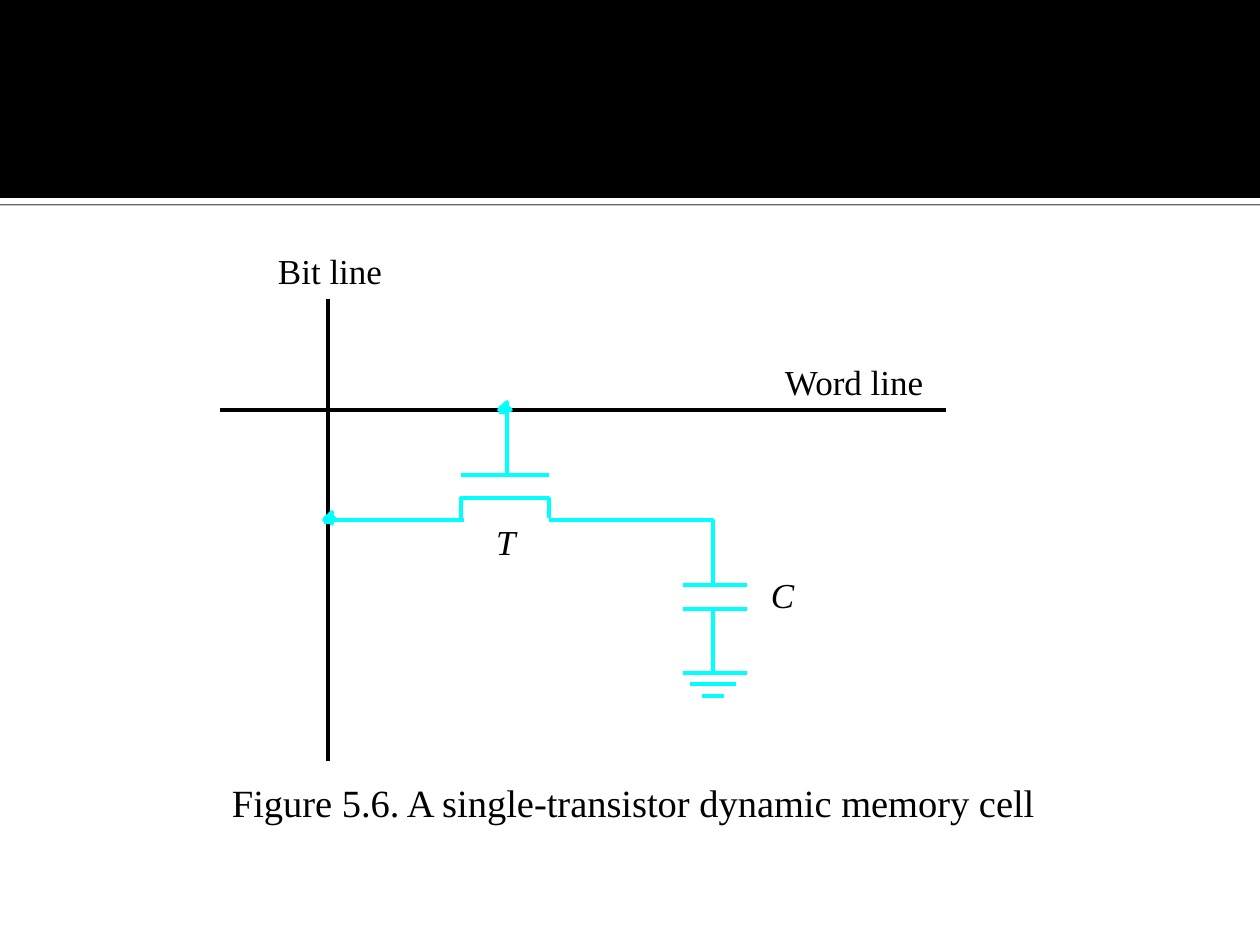
from lxml.etree import SubElement
from pptx import Presentation
from pptx.dml.color import RGBColor
from pptx.enum.shapes import MSO_CONNECTOR, MSO_SHAPE
from pptx.enum.text import MSO_AUTO_SIZE
from pptx.oxml.ns import qn
from pptx.util import Emu, Pt

PX = 914400 / 126
BLACK = RGBColor(0, 0, 0)
WHITE = RGBColor(255, 255, 255)
CYAN = RGBColor(0, 255, 255)
FONT = "Times New Roman"
WIRE = 2.13


def px(value):
    return Emu(round(value * PX))


def style_shape(shape, fill=None, line=None):
    shape.shadow.inherit = False
    if fill is None:
        shape.fill.background()
    else:
        shape.fill.solid()
        shape.fill.fore_color.rgb = fill
    if line is None:
        shape.line.fill.background()
    else:
        shape.line.color.rgb = line
        shape.line.width = Pt(WIRE)
    return shape


def add_rectangle(slide, left, top, width, height, fill=None, line=None):
    shape = slide.shapes.add_shape(
        MSO_SHAPE.RECTANGLE, px(left), px(top), px(width), px(height))
    return style_shape(shape, fill, line)


def add_line(slide, start, end, color, width=WIRE):
    connector = slide.shapes.add_connector(
        MSO_CONNECTOR.STRAIGHT, *map(px, start + end))
    connector.line.color.rgb = color
    connector.line.width = Pt(width)
    SubElement(connector._element.spPr, qn("a:effectLst"))


def add_path(slide, points, line):
    builder = slide.shapes.build_freeform(*points[0], scale=PX)
    builder.add_line_segments(points[1:], close=False)
    return style_shape(builder.convert_to_shape(), line=line)


def add_label(slide, text, left, top, width, height, size=20, italic=False):
    box = slide.shapes.add_textbox(px(left), px(top), px(width), px(height))
    frame = box.text_frame
    frame.margin_left = frame.margin_right = 0
    frame.margin_top = frame.margin_bottom = 0
    frame.word_wrap = False
    frame.auto_size = MSO_AUTO_SIZE.SHAPE_TO_FIT_TEXT
    run = frame.paragraphs[0].add_run()
    run.text = text
    run.font.name = FONT
    run.font.size = Pt(size)
    run.font.italic = italic
    run.font.color.rgb = BLACK


def add_junction(slide, x, y):
    add_rectangle(slide, x - 4, y - 4, 8, 8, fill=CYAN)
    outline = [(4, -8), (0, -4), (-4, 0), (0, 0), (4, 4),
               (4, 0), (8, 0), (4, -4), (4, -8)]
    add_path(slide, [(x + dx, y + dy) for dx, dy in outline], CYAN)


def add_header(slide):
    strip = add_rectangle(slide, 0, 198, 1260, 6, fill=WHITE)
    effects = strip._element.spPr.find(qn("a:effectLst"))
    shadow = SubElement(effects, qn("a:outerShdw"), dist=str(Pt(0.8)),
                        dir="5400000", algn="tl", rotWithShape="0")
    color = SubElement(shadow, qn("a:srgbClr"), val=str(BLACK))
    SubElement(color, qn("a:alpha"), val="60000")
    add_rectangle(slide, 0, 0, 1260, 198, fill=BLACK)


def add_labels(slide):
    add_label(slide, "Figure 5.6. A single-transistor dynamic memory cell",
              232, 779, 816, 47, size=22)
    add_label(slide, "T", 496, 520, 20, 42, italic=True)
    add_label(slide, "C", 771, 573, 24, 42, italic=True)
    add_label(slide, "Word line", 785, 360, 141, 42)
    add_label(slide, "Bit line", 278, 249, 105, 42)


def add_circuit(slide):
    # Word line and bit line
    add_line(slide, (946, 410), (220, 410), BLACK)
    add_line(slide, (328, 761), (328, 299), BLACK)

    # Vertical and horizontal leads
    add_line(slide, (507, 475), (507, 410), CYAN)
    add_line(slide, (461, 520), (328, 520), CYAN)
    add_line(slide, (713, 673), (713, 609), CYAN)

    # Transistor gate, capacitor plates and ground bars
    for left, right, y in [(461, 549, 475), (683, 747, 585), (683, 747, 609),
                           (683, 747, 673), (690, 736, 684), (702, 724, 696)]:
        add_line(slide, (right, y), (left, y), CYAN)

    # Transistor channel, with its lower edge hidden
    add_rectangle(slide, 461, 498, 88, 22, line=CYAN)
    for x, y in [(328, 520), (503, 410)]:
        add_junction(slide, x, y)
    add_line(slide, (464, 522), (580, 522), WHITE, width=5)

    # Lead from the channel to the capacitor
    add_path(slide, [(713, 585), (713, 520), (549, 520)], CYAN)


def main():
    presentation = Presentation()
    presentation.slide_width = px(1260)
    presentation.slide_height = px(945)
    slide = presentation.slides.add_slide(presentation.slide_layouts[6])
    slide.background.fill.solid()
    slide.background.fill.fore_color.rgb = WHITE
    add_header(slide)
    add_labels(slide)
    add_circuit(slide)
    presentation.save("out.pptx")


if __name__ == "__main__":
    main()
